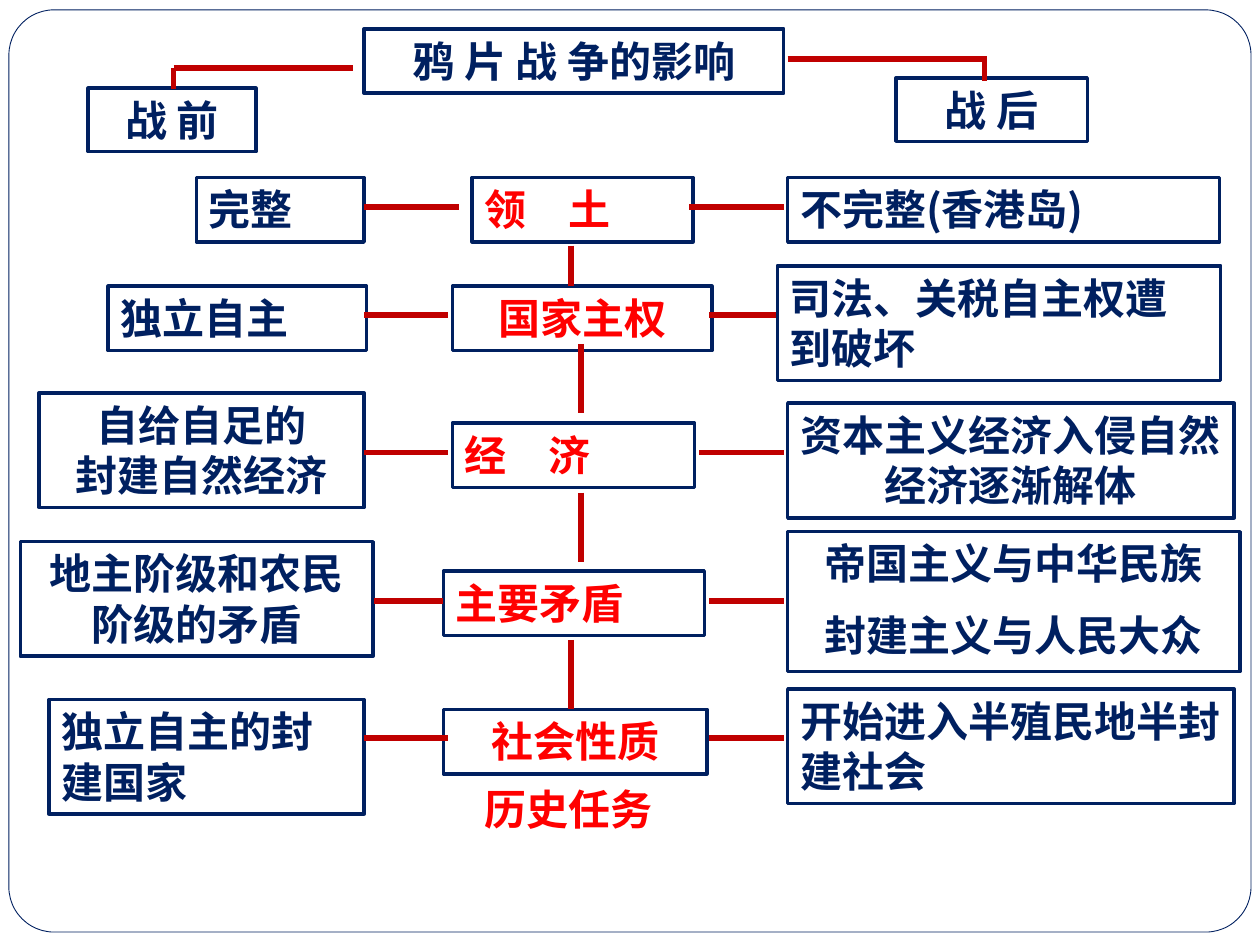
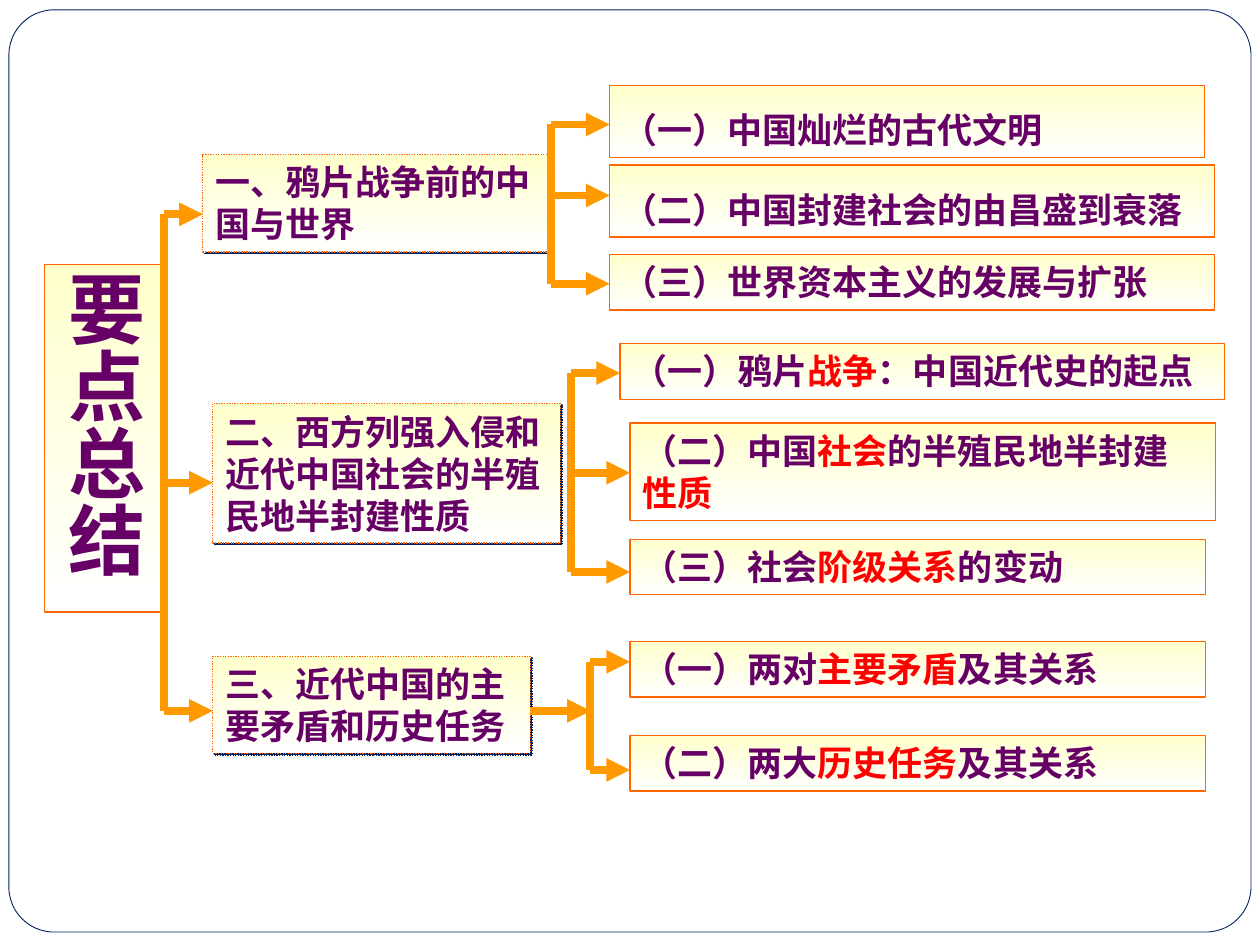
from lxml.etree import SubElement
from pptx import Presentation
from pptx.dml.color import RGBColor
from pptx.enum.dml import MSO_LINE
from pptx.enum.shapes import MSO_CONNECTOR, MSO_SHAPE
from pptx.enum.text import MSO_ANCHOR, MSO_AUTO_SIZE, PP_ALIGN
from pptx.oxml.ns import qn
from pptx.util import Cm, Pt

COLOURS = {
    "navy": "002060", "white": "FFFFFF", "red": "FF0000", "dark_red": "C00000",
    "cream": "FFFFCC", "orange": "FF6600", "amber": "FF9900", "purple": "660066",
}
FONT = "Noto Sans CJK JP"
LEFT, CENTRE = PP_ALIGN.LEFT, PP_ALIGN.CENTER
TITLE_ONLY = 5


def colour(name):
    return RGBColor.from_string(COLOURS[name])


class Deck:
    def __init__(self):
        self.presentation = Presentation()
        self.presentation.slide_width = Cm(25.4)
        self.presentation.slide_height = Cm(19.05)
        self.layout = self.presentation.slide_layouts[TITLE_ONLY]
        self.slide = None

    def add_slide(self):
        self.slide = self.presentation.slides.add_slide(self.layout)

    def frame_layout(self):
        """Move a rounded frame behind everything on the shared layout."""
        frame = self.rectangle((0.18, 0.2, 25.04, 18.59), MSO_SHAPE.ROUNDED_RECTANGLE)
        frame.adjustments[0] = 0.049
        self.outline(frame, "white", "navy", 0.5)
        self.layout.shapes.element.insert(2, frame.element)

    def rectangle(self, place, kind=MSO_SHAPE.RECTANGLE):
        shape = self.slide.shapes.add_shape(kind, *map(Cm, place))
        shape.shadow.inherit = False
        return shape

    def title_shape(self, place):
        title = self.slide.shapes.title
        title.left, title.top, title.width, title.height = map(Cm, place)
        return title

    def outline(self, shape, fill, line, width):
        shape.fill.solid()
        shape.fill.fore_color.rgb = colour(fill)
        if line:
            shape.line.color.rgb = colour(line)
            shape.line.width = Pt(width)
        else:
            shape.line.fill.background()

    def set_text(self, shape, text, size, ink, align=LEFT, anchor=MSO_ANCHOR.TOP,
                 line_spacing=None):
        """Fill a shape with text; parts between asterisks turn red."""
        frame = shape.text_frame
        frame.word_wrap = True
        frame.auto_size = MSO_AUTO_SIZE.NONE
        frame.vertical_anchor = anchor
        for index, line in enumerate(text.split("\n")):
            paragraph = frame.paragraphs[0] if index == 0 else frame.add_paragraph()
            paragraph.alignment = align
            if line_spacing:
                paragraph.line_spacing = line_spacing
            font = paragraph.font
            font.name, font.size, font.bold = FONT, Pt(size), True
            font.color.rgb = colour(ink)
            latin = paragraph._p.pPr.find(".//" + qn("a:latin"))
            latin.addnext(latin.makeelement(qn("a:ea"), {"typeface": FONT}))
            for part_index, part in enumerate(line.split("*")):
                if part:
                    run = paragraph.add_run()
                    run.text = part
                    if part_index % 2:
                        run.font.color.rgb = colour("red")

    def plain_box(self, place, text, align=LEFT, ink="navy", line="navy", shape=None):
        shape = shape or self.rectangle(place)
        self.outline(shape, "white", line, 2)
        self.set_text(shape, text, 24, ink, align)
        return shape

    def cream_box(self, place, text, size=20, shape=None, **text_style):
        shape = shape or self.rectangle(place)
        shape.fill.gradient()
        shape.fill.gradient_angle = 270
        for stop, name in zip(shape.fill.gradient_stops, ("cream", "white")):
            stop.color.rgb = colour(name)
        shape.line.color.rgb = colour("orange")
        shape.line.width = Pt(0.75)
        self.set_text(shape, text, size, "purple", **text_style)
        return shape

    def section_box(self, place, text, anchor):
        """Cream box with a dotted edge and a hard navy shadow."""
        shape = self.cream_box(place, text, anchor=anchor)
        shape.line.dash_style = MSO_LINE.ROUND_DOT
        effects = shape.element.spPr.find(qn("a:effectLst"))
        shadow = SubElement(effects, qn("a:outerShdw"), blurRad="0", dist=str(Pt(1.4)),
                            dir="2700000", algn="tl", rotWithShape="0")
        SubElement(shadow, qn("a:srgbClr"), val=COLOURS["navy"])

    def line(self, start, end, name="dark_red", width=3.25, arrow=False):
        connector = self.slide.shapes.add_connector(
            MSO_CONNECTOR.STRAIGHT, *map(Cm, (*start, *end)))
        connector.line.color.rgb = colour(name)
        connector.line.width = Pt(width)
        properties = connector.element.spPr
        if arrow:
            SubElement(properties.find(qn("a:ln")), qn("a:tailEnd"), type="triangle")
        SubElement(properties, qn("a:effectLst"))

    def branch(self, start, end, arrow=True):
        self.line(start, end, "amber", 4.5, arrow)


def build_war_effects(deck):
    title_place = (7.34, 0.58, 8.46, 1.3)
    deck.plain_box(title_place, "鸦 片 战 争的影响", CENTRE,
                   shape=deck.title_shape(title_place))
    deck.plain_box((1.78, 1.78, 3.38, 1.28), "战 前", CENTRE)
    deck.plain_box((18.06, 1.57, 3.86, 1.28), "战 后", CENTRE)
    deck.line((3.5, 1.37), (7.11, 1.37))
    deck.line((15.88, 1.19), (19.89, 1.19))
    deck.line((19.84, 1.19), (19.84, 1.63), width=3)
    deck.line((3.5, 1.37), (3.5, 1.8), width=3)

    one, two = 1.3, 2.31  # heights of boxes with one and two lines
    # link height, link ends (left pair, right start), then before, topic and after
    rows = [
        (4.17, (7.34, 9.25, 13.89),
         ((3.96, 3.58, 3.38, one), "完整", LEFT),
         ((9.52, 3.58, 4.45, one), "领　土", LEFT),
         ((15.88, 3.58, 8.71, one), "不完整(香港岛)", LEFT)),
        (6.35, (7.34, 9.04, 14.3),
         ((2.18, 5.77, 5.21, one), "独立自主", LEFT),
         ((9.12, 5.77, 5.23, one), "国家主权", CENTRE),
         ((15.67, 5.36, 8.94, two), "司法、关税自主权遭到破坏", LEFT)),
        (9.12, (7.34, 9.04, 14.1),
         ((0.79, 7.92, 6.55, two), "自给自足的\n封建自然经济", CENTRE),
         ((9.12, 8.53, 4.88, one), "经　济", LEFT),
         ((15.88, 8.13, 9, two), "资本主义经济入侵自然经济逐渐解体", CENTRE)),
        (12.12, (7.54, 8.94, 14.3),
         ((0.41, 10.92, 7.11, two), "地主阶级和农民阶级的矛盾", CENTRE),
         ((8.94, 11.51, 5.26, one), "主要矛盾", LEFT),
         ((15.88, 10.72, 9.12, 2.82), "帝国主义与中华民族\n封建主义与人民大众", CENTRE)),
        (14.88, (7.34, 9.04, 14.3),
         ((0.99, 14.1, 6.35, two), "独立自主的封建国家", LEFT),
         ((8.94, 14.3, 5.31, one), "社会性质", CENTRE),
         ((15.88, 13.89, 9, two), "开始进入半殖民地半封建社会", LEFT)),
    ]
    for y, (left_start, left_end, right_start), before, topic, after in rows:
        deck.plain_box(*before)
        deck.plain_box(*topic, ink="red")
        deck.line((left_start, y), (left_end, y))
        deck.line((right_start, y), (15.8, y))
        after_box = deck.plain_box(*after)
        for paragraph in after_box.text_frame.paragraphs[1:]:
            paragraph.space_before = Pt(12)

    for x, top, bottom in ((11.51, 4.95, 5.77), (11.71, 6.93, 8.33),
                           (11.71, 9.93, 11.33), (11.51, 12.9, 14.3)):
        deck.line((x, top), (x, bottom), width=3)
    deck.plain_box((9.52, 15.67, 3.94, 1.27), "历史任务", ink="red", line=None)


def build_summary(deck):
    title_place = (0.89, 5.33, 2.39, 7.01)
    title = deck.cream_box(title_place, "要点总结", 44, deck.title_shape(title_place))
    title.element.find(".//" + qn("a:bodyPr")).set("vert", "eaVert")

    spine = 3.3
    top, middle = MSO_ANCHOR.TOP, MSO_ANCHOR.MIDDLE
    # section box, text, anchor, arrow height, bracket position, then its points:
    # point box, arrow height, line spacing, text
    sections = [
        ((4.09, 3.12, 7.01, 1.96), "一、鸦片战争前的中国与世界", top, 4.32, 11.1, [
            ((12.29, 1.73, 11.99, 1.45), 2.51, 1.4, "（一）中国灿烂的古代文明"),
            ((12.29, 3.33, 12.19, 1.45), 3.94, 1.4, "（二）中国封建社会的由昌盛到衰落"),
            ((12.29, 5.13, 12.19, 1.12), 5.72, None, "（三）世界资本主义的发展与扩张")]),
        ((4.29, 8.13, 7.01, 2.82), "二、西方列强入侵和近代中国社会的半殖民地半封建性质",
         middle, 9.73, 11.51, [
            ((12.5, 6.93, 12.19, 1.12), 7.52, None, "（一）鸦片*战争*：中国近代史的起点"),
            ((12.7, 8.53, 11.81, 1.96), 9.53, None, "（二）中国*社会*的半殖民地半封建*性质*"),
            ((12.7, 10.87, 11.61, 1.12), 11.53, None, "（三）社会*阶级关系*的变动")]),
        ((4.29, 13.23, 6.4, 1.96), "三、近代中国的主要矛盾和历史任务", middle, 14.33, 11.89, [
            ((12.7, 12.93, 11.61, 1.12), 13.34, None, "（一）两对*主要矛盾*及其关系"),
            ((12.7, 14.83, 11.61, 1.12), 15.52, None, "（二）两大*历史任务*及其关系")]),
    ]
    for place, text, anchor, arrow_y, bracket, points in sections:
        deck.section_box(place, text, anchor)
        deck.branch((spine, arrow_y), (place[0], arrow_y))
        deck.branch((bracket, points[0][1]), (bracket, points[-1][1]), arrow=False)
        for point_place, y, spacing, point_text in points:
            deck.cream_box(point_place, point_text, line_spacing=spacing)
            deck.branch((bracket, y), (point_place[0], y))
    deck.branch((10.69, 14.33), (11.91, 14.33))
    deck.branch((spine, sections[0][3]), (spine, sections[-1][3]), arrow=False)


def main():
    deck = Deck()
    deck.add_slide()
    deck.frame_layout()
    build_war_effects(deck)
    deck.add_slide()
    build_summary(deck)
    deck.presentation.save("out.pptx")


if __name__ == "__main__":
    main()
